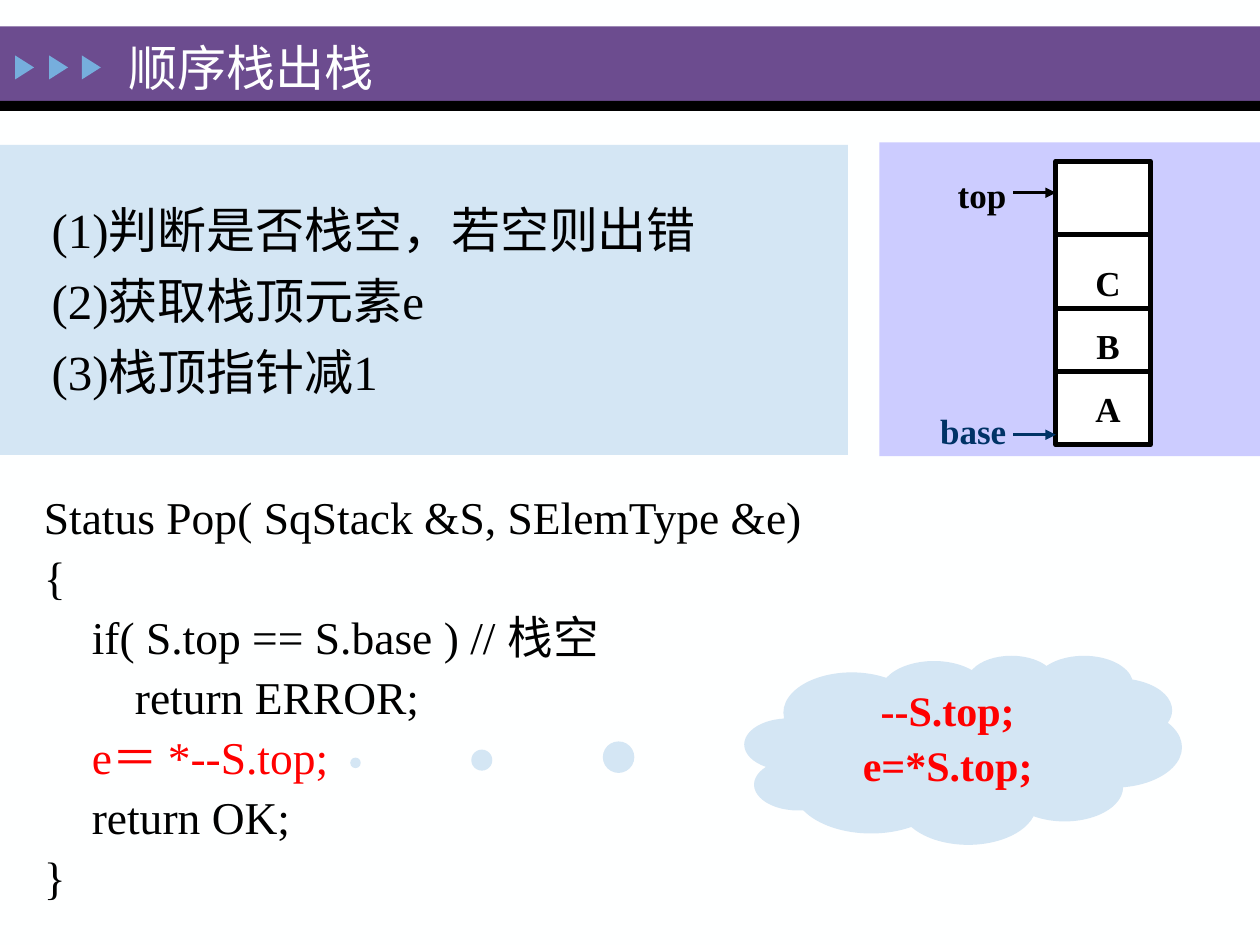
from dataclasses import dataclass
from typing import NamedTuple

from lxml.etree import SubElement
from pptx import Presentation
from pptx.dml.color import RGBColor
from pptx.enum.shapes import MSO_CONNECTOR, MSO_SHAPE
from pptx.enum.text import MSO_ANCHOR, MSO_AUTO_SIZE, PP_ALIGN
from pptx.oxml.ns import qn
from pptx.util import Inches, Pt


@dataclass(frozen=True)
class Theme:
    font: str = "Times New Roman"
    paper: str = "FEFFFF"
    ink: str = "000000"
    navy: str = "003366"
    red: str = "FF0000"
    purple: str = "6C4C8F"
    sky: str = "76AEDD"
    pale_blue: str = "D4E6F4"
    lavender: str = "CCCCFF"
    white: str = "FFFFFF"
    heading_size: int = 28
    code_size: int = 26
    note_size: int = 24
    label_size: int = 20
    paragraph_gap: float = 0.24
    tight: float = 0.9
    frame_width: float = 3
    arrow_width: float = 1.5


class Box(NamedTuple):
    left: float
    top: float
    width: float
    height: float


class Label(NamedTuple):
    text: str
    box: Box
    color: str


class Line(NamedTuple):
    start: tuple[float, float]
    end: tuple[float, float]
    color: str
    width: float
    arrow: bool = False


THEME = Theme()


def lengths(box: Box) -> list:
    return [Inches(value) for value in box]


def place(placeholder, box: Box) -> None:
    placeholder.left, placeholder.top, placeholder.width, placeholder.height = lengths(box)


def write(frame, *lines: str, size: float, color: str = THEME.ink, bold: bool = False,
          align=PP_ALIGN.LEFT, anchor=MSO_ANCHOR.TOP, margin: float = 0,
          hanging: float = 0, spacing: float = 1.0, highlight: str = "") -> None:
    frame.word_wrap = True
    frame.auto_size = MSO_AUTO_SIZE.NONE
    frame.vertical_anchor = anchor
    for index, text in enumerate(lines):
        paragraph = frame.paragraphs[0] if index == 0 else frame.add_paragraph()
        properties = paragraph._p.get_or_add_pPr()
        properties.set("marL", str(Inches(margin)))
        properties.set("indent", str(Inches(-hanging)))
        SubElement(properties, qn("a:buNone"))
        paragraph.alignment = align
        paragraph.line_spacing = spacing
        paragraph.space_before = Pt(round(size * THEME.paragraph_gap, 1) if index else 0)
        run = paragraph.add_run()
        run.text = text
        run.font.name = THEME.font
        run.font.size = Pt(size)
        run.font.bold = bold
        run.font.color.rgb = RGBColor.from_string(
            THEME.red if text == highlight else color)


def draw_shape(slide, kind, box: Box, fill: str, outline: str = ""):
    shape = slide.shapes.add_shape(kind, *lengths(box))
    shape.shadow.inherit = False
    shape.fill.solid()
    shape.fill.fore_color.rgb = RGBColor.from_string(fill)
    if outline:
        shape.line.color.rgb = RGBColor.from_string(outline)
        shape.line.width = Pt(THEME.frame_width)
    else:
        shape.line.fill.background()
    return shape


def draw_line(slide, line: Line) -> None:
    ends = [Inches(value) for value in (*line.start, *line.end)]
    connector = slide.shapes.add_connector(MSO_CONNECTOR.STRAIGHT, *ends)
    connector.line.color.rgb = RGBColor.from_string(line.color)
    connector.line.width = Pt(line.width)
    if line.arrow:
        SubElement(connector.line._get_or_add_ln(), qn("a:tailEnd"), type="triangle")
    SubElement(connector._element.spPr, qn("a:effectLst"))


def draw_label(slide, label: Label) -> None:
    textbox = slide.shapes.add_textbox(*lengths(label.box))
    write(textbox.text_frame, label.text, size=THEME.label_size, color=label.color,
          bold=True, align=PP_ALIGN.CENTER)


def draw_header(slide) -> None:
    draw_shape(slide, MSO_SHAPE.RECTANGLE, Box(0, 0.21, 10, 0.59), THEME.purple)
    draw_shape(slide, MSO_SHAPE.RECTANGLE, Box(0, 0.8, 10, 0.08), THEME.ink)
    for left in (0.1, 0.37, 0.63):
        marker = draw_shape(slide, MSO_SHAPE.ISOSCELES_TRIANGLE,
                            Box(left, 0.46, 0.19, 0.15), THEME.sky)
        marker.rotation = 90
    title = slide.shapes.title
    title.element.getparent().append(title.element)
    place(title, Box(0.92, 0.28, 7, 0.5))
    write(title.text_frame, "顺序栈出栈", size=THEME.heading_size, color=THEME.paper,
          anchor=MSO_ANCHOR.MIDDLE)


def draw_steps(slide) -> None:
    steps = slide.placeholders[1]
    place(steps, Box(0, 1.15, 6.73, 2.46))
    steps.fill.solid()
    steps.fill.fore_color.rgb = RGBColor.from_string(THEME.pale_blue)
    write(steps.text_frame, "(1)判断是否栈空，若空则出错", "(2)获取栈顶元素e", "(3)栈顶指针减1",
          size=THEME.heading_size, anchor=MSO_ANCHOR.MIDDLE, margin=0.98, hanging=0.67)


def draw_code(slide) -> None:
    code = slide.shapes.add_textbox(*lengths(Box(0.25, 3.88, 9.45, 3.2)))
    pop_line = "\te＝ *--S.top;"
    write(code.text_frame, "Status Pop( SqStack &S, SElemType &e)", "{",
          "\tif( S.top == S.base ) // 栈空", "        return ERROR;", pop_line,
          "\treturn OK;", "}", size=THEME.code_size, margin=0.38, hanging=0.38,
          spacing=THEME.tight, highlight=pop_line)
    cloud = draw_shape(slide, MSO_SHAPE.CLOUD_CALLOUT, Box(5.91, 5.2, 3.47, 1.5),
                       THEME.pale_blue)
    cloud.adjustments[0] = -1.39
    cloud.adjustments[1] = 0.07
    write(cloud.text_frame, "--S.top;", "e=*S.top;", size=THEME.note_size,
          color=THEME.red, bold=True, align=PP_ALIGN.CENTER, margin=0.38,
          hanging=0.38, spacing=THEME.tight)


def draw_stack(slide) -> None:
    draw_shape(slide, MSO_SHAPE.RECTANGLE, Box(6.98, 1.13, 3.02, 2.49), THEME.lavender)
    stack = Box(8.38, 1.28, 0.75, 2.25)
    draw_shape(slide, MSO_SHAPE.RECTANGLE, stack, THEME.white, THEME.ink)
    right = stack.left + stack.width
    for level in (1.86, 2.45, 2.95):
        draw_line(slide, Line((stack.left, level), (right, level),
                              THEME.ink, THEME.frame_width))
    for level, color in ((1.53, THEME.ink), (3.45, THEME.navy)):
        draw_line(slide, Line((8.04, level), (stack.left, level),
                              color, THEME.arrow_width, arrow=True))
    for index, element in enumerate("CBA"):
        draw_label(slide, Label(element, Box(8.46, 2.03 + 0.5 * index, 0.67, 0.43),
                                THEME.ink))
    draw_label(slide, Label("top", Box(7.13, 1.33, 1.33, 0.43), THEME.ink))
    draw_label(slide, Label("base", Box(7.06, 3.2, 1.33, 0.43), THEME.navy))


def main() -> None:
    presentation = Presentation()
    presentation.slide_width = Inches(10)
    presentation.slide_height = Inches(7.5)
    slide = presentation.slides.add_slide(presentation.slide_layouts[1])
    slide.background.fill.solid()
    slide.background.fill.fore_color.rgb = RGBColor.from_string(THEME.paper)
    draw_header(slide)
    draw_steps(slide)
    draw_code(slide)
    draw_stack(slide)
    presentation.save("out.pptx")


if __name__ == "__main__":
    main()
